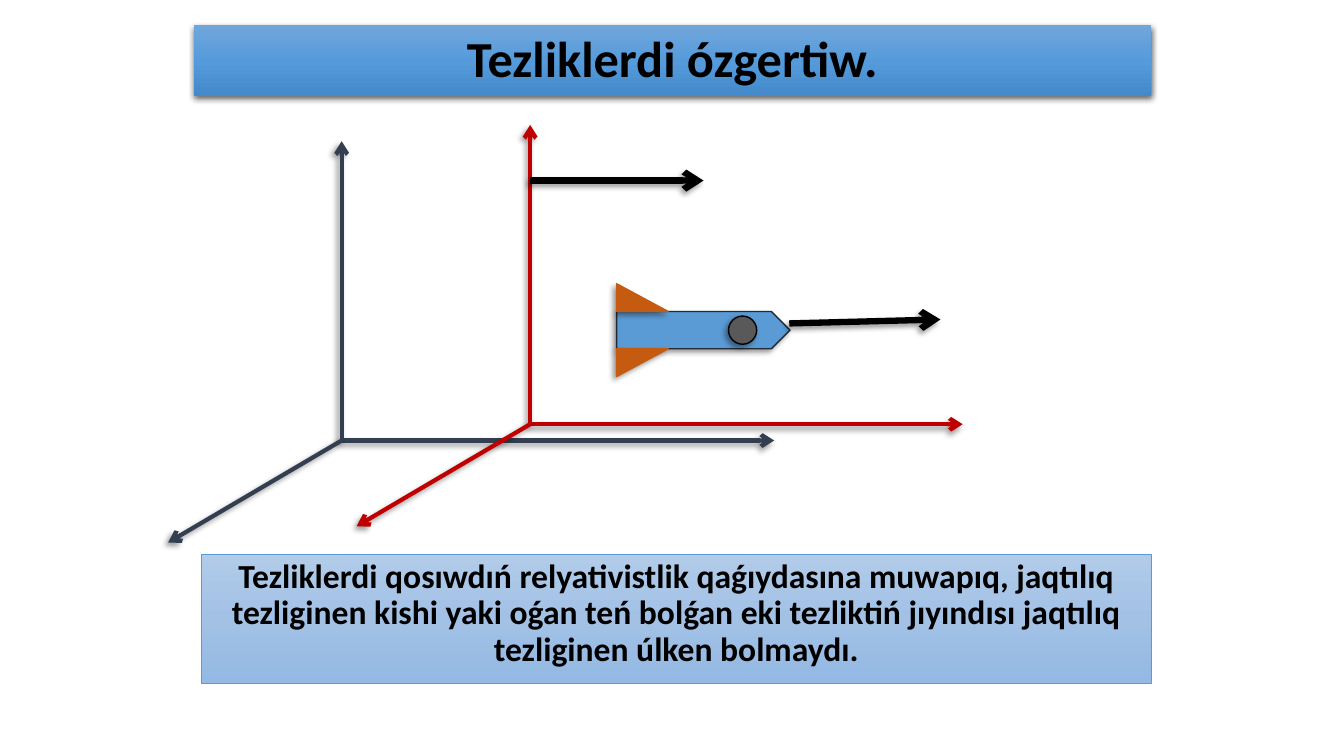
"""Build the slide on changing velocities between two reference frames."""
import copy
from dataclasses import dataclass

import lxml.etree
import pptx
import pptx.dml.color
import pptx.enum.shapes
import pptx.enum.text
import pptx.oxml
import pptx.oxml.ns
import pptx.util

Cm = pptx.util.Cm
Pt = pptx.util.Pt
qn = pptx.oxml.ns.qn
SHAPE = pptx.enum.shapes.MSO_SHAPE
ANCHOR = pptx.enum.text.MSO_ANCHOR


@dataclass(frozen=True)
class Theme:
    font: str = "Calibri"
    title_size: float = 36
    body_size: float = 24
    axis_width: float = 3
    velocity_width: float = 4.5
    outline_width: float = 1
    border_width: float = 0.5
    black: str = "000000"
    rest_frame: str = "333F50"
    moving_frame: str = "C00000"
    blue: str = "5B9BD5"
    hull_line: str = "222A35"
    fin: str = "C55A11"
    window: str = "595959"
    title_gradient: tuple = ("71A6DB", "559BDB", "448ACA")
    body_gradient: tuple = ("B1CBE9", "A3C1E5", "93B9E4")


THEME = Theme()
TITLE = "Tezliklerdi ózgertiw."
RULE = (
    "Tezliklerdi qosıwdıń relyativistlik qaǵıydasına muwapıq, jaqtılıq "
    "tezliginen kishi yaki oǵan teń bolǵan eki tezliktiń jıyındısı jaqtılıq "
    "tezliginen úlken bolmaydı."
)
TITLE_AREA = (4.88, 0.64, 24.13, 1.78)
RULE_AREA = (5.08, 13.97, 23.93, 3.25)
FRAMES = [((8.61, 11.1), THEME.rest_frame), ((13.36, 10.69), THEME.moving_frame)]
AXES = [(10.9, 0), (0, -7.54), (-4.37, 2.57)]
FRAME_VELOCITY = ((13.36, 4.55), (4.37, 0))
ROCKET_VELOCITY = ((19.89, 8.15), (3.81, -0.1))
HULL = (15.54, 7.85, 4.37, 0.94)
FIN_SIZE = (1.3, 0.7)
WINDOW = (18.36, 0.71)
SOFT_SHADOW = (40, 4, 3, 135)
TITLE_SHADOW = (63, 4.5, 1.5, 90)


def rgb(value):
    return pptx.dml.color.RGBColor.from_string(value)


def add_shadow(properties, opacity, blur, distance, angle):
    effects = properties.find(qn("a:effectLst"))
    if effects is None:
        effects = lxml.etree.SubElement(properties, qn("a:effectLst"))
    outer = lxml.etree.SubElement(
        effects, qn("a:outerShdw"), blurRad=str(Pt(blur)), dist=str(Pt(distance)),
        dir=str(angle * 60000), algn="ctr", rotWithShape="0")
    color = lxml.etree.SubElement(outer, qn("a:srgbClr"), val=THEME.black)
    lxml.etree.SubElement(color, qn("a:alpha"), val=str(opacity * 1000))


def fill_gradient(fill, box, colors):
    fill.gradient()
    fill.gradient_angle = 270
    stops = box.element.spPr.find(".//" + qn("a:gsLst"))
    stops.insert(1, copy.deepcopy(stops[0]))
    for index, color in enumerate(colors):
        stop = fill.gradient_stops[index]
        stop.color.rgb = rgb(color)
        stop.position = index / (len(colors) - 1)


def fill_placeholder(box, area, text, size, colors, anchor):
    box.left, box.top, box.width, box.height = map(Cm, area)
    fill_gradient(box.fill, box, colors)
    frame = box.text_frame
    frame.word_wrap = True
    frame.auto_size = pptx.enum.text.MSO_AUTO_SIZE.NONE
    frame.vertical_anchor = anchor
    para = frame.paragraphs[0]
    para.alignment = pptx.enum.text.PP_ALIGN.CENTER
    para.line_spacing = 0.9
    para.space_before = Pt(0)
    settings = para._p.get_or_add_pPr()
    settings.set("marL", "0")
    settings.set("indent", "0")
    lxml.etree.SubElement(settings, qn("a:buNone"))
    span = para.add_run()
    span.text = text
    span.font.name = THEME.font
    span.font.size = Pt(size)
    span.font.bold = True
    span.font.color.rgb = rgb(THEME.black)


def add_arrow(page, start, offset, color, width):
    end = [begin + shift for begin, shift in zip(start, offset)]
    arrow = page.shapes.add_connector(
        pptx.enum.shapes.MSO_CONNECTOR.STRAIGHT, *map(Cm, (*start, *end)))
    arrow.line.color.rgb = rgb(color)
    arrow.line.width = Pt(width)
    properties = arrow.element.spPr
    lxml.etree.SubElement(properties.find(qn("a:ln")), qn("a:tailEnd"), type="arrow")
    add_shadow(properties, *SOFT_SHADOW)


def add_part(rocket, kind, area, color, outline):
    part = rocket.shapes.add_shape(kind, *map(Cm, area))
    part.fill.solid()
    part.fill.fore_color.rgb = rgb(color)
    part.line.color.rgb = rgb(outline)
    part.line.width = Pt(THEME.outline_width)
    part.shadow.inherit = False
    add_shadow(part.element.spPr, *SOFT_SHADOW)
    return part


def add_rocket(page):
    rocket = page.shapes.add_group_shape()
    left, top, _, height = HULL
    add_part(rocket, SHAPE.PENTAGON, HULL, THEME.blue, THEME.hull_line)
    upper = (left, top - FIN_SIZE[1], *FIN_SIZE)
    lower = (left, top + height, *FIN_SIZE)
    add_part(rocket, SHAPE.RIGHT_TRIANGLE, upper, THEME.fin, THEME.fin)
    fin = add_part(rocket, SHAPE.RIGHT_TRIANGLE, lower, THEME.fin, THEME.fin)
    fin.element.spPr.find(qn("a:xfrm")).set("flipV", "1")
    window_left, size = WINDOW
    window = (window_left, top + (height - size) / 2, size, size)
    add_part(rocket, SHAPE.OVAL, window, THEME.window, THEME.black)


def main():
    deck = pptx.Presentation()
    deck.slide_width, deck.slide_height = Cm(33.87), Cm(19.05)
    page = deck.slides.add_slide(deck.slide_layouts[1])
    title, body = page.placeholders
    fill_placeholder(title, TITLE_AREA, TITLE, THEME.title_size,
                     THEME.title_gradient, ANCHOR.MIDDLE)
    title.line.fill.background()
    add_shadow(title.element.spPr, *TITLE_SHADOW)
    fill_placeholder(body, RULE_AREA, RULE, THEME.body_size,
                     THEME.body_gradient, ANCHOR.TOP)
    body.line.color.rgb = rgb(THEME.blue)
    body.line.width = Pt(THEME.border_width)
    for origin, color in FRAMES:
        for axis in AXES:
            add_arrow(page, origin, axis, color, THEME.axis_width)
    add_arrow(page, *FRAME_VELOCITY, THEME.black, THEME.velocity_width)
    add_rocket(page)
    add_arrow(page, *ROCKET_VELOCITY, THEME.black, THEME.velocity_width)
    deck.save("out.pptx")


if __name__ == "__main__":
    main()
